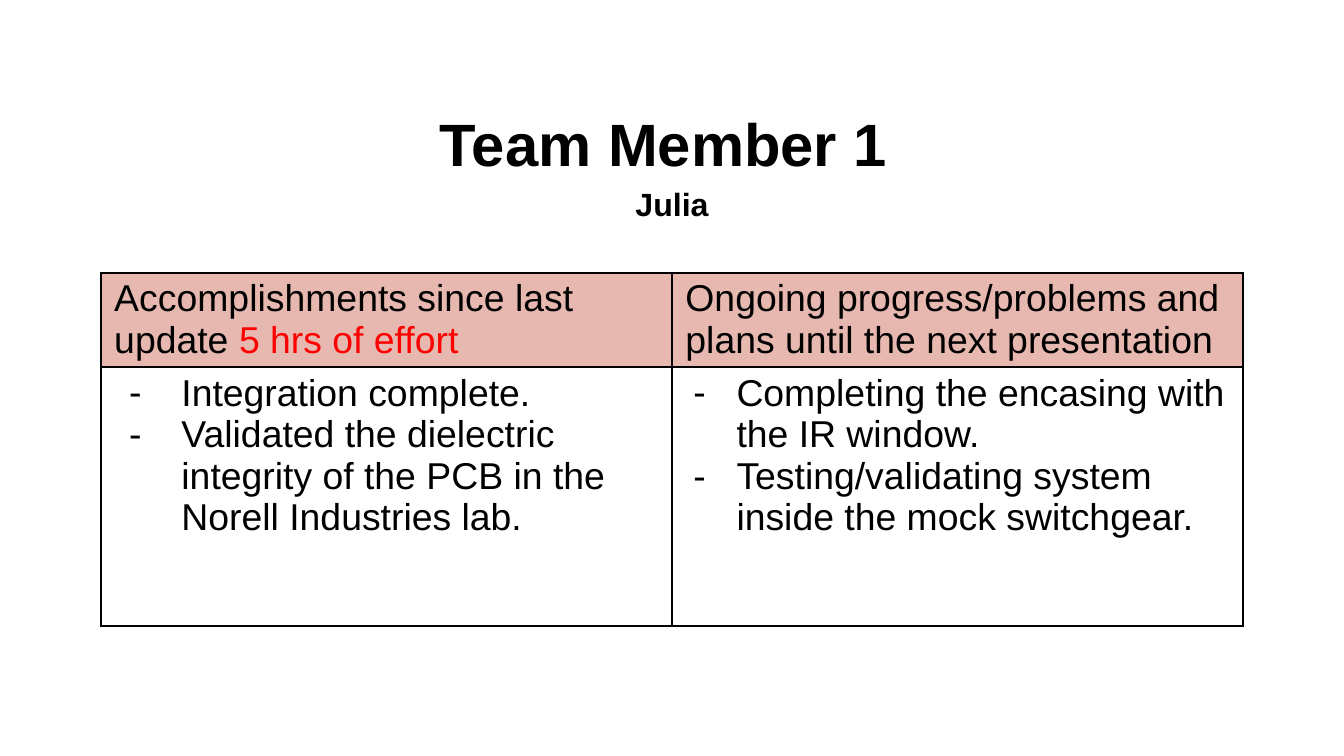
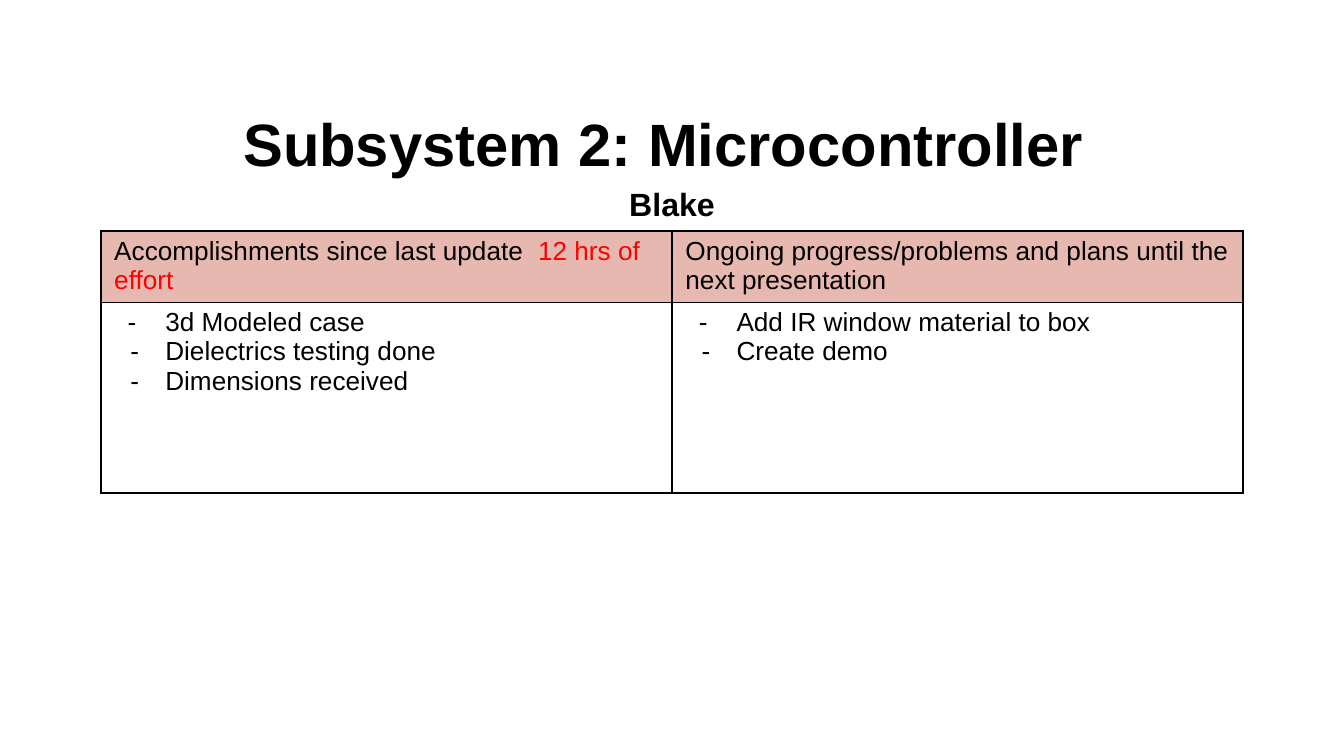
"""Build two progress slides, each with a two-line title and a status table."""
from dataclasses import dataclass

from lxml import etree
from pptx import Presentation
from pptx.dml.color import RGBColor
from pptx.enum.text import MSO_ANCHOR, MSO_AUTO_SIZE, PP_ALIGN
from pptx.oxml.ns import qn
from pptx.util import Inches, Pt

CENTER = PP_ALIGN.CENTER
MIDDLE = MSO_ANCHOR.MIDDLE
NO_FIT = MSO_AUTO_SIZE.NONE
TITLE_ONLY = 5


@dataclass(frozen=True)
class Theme:
    """Colours, font and type sizes."""
    font: str = "Arial"
    ink: str = "000000"
    effort: str = "FF0000"
    header: str = "E6B8AF"
    title: float = 32
    name: float = 17.2
    border: float = 1


def set_all(target, values):
    """Set each attribute named in values on the target."""
    for key, value in values.items():
        setattr(target, key, value)


class Deck:
    """Holds the theme and the current slide."""

    def __init__(self, theme):
        """Start a 16:9 presentation."""
        self.theme = theme
        self.prs = Presentation()
        set_all(self.prs, {"slide_width": Inches(10),
                           "slide_height": Inches(10 * 9 / 16)})
        self.slide = None

    def new_slide(self):
        """Add a slide and make it current."""
        self.slide = self.prs.slides.add_slide(self.prs.slide_layouts[TITLE_ONLY])

    def run(self, p, text, size, color=None, bold=False):
        """Add one formatted run to a paragraph."""
        r = p.add_run()
        r.text = text
        set_all(r.font, {"name": self.theme.font, "size": Pt(size), "bold": bold})
        r.font.color.rgb = RGBColor.from_string(color or self.theme.ink)

    def title(self, heading, name):
        """Fill the title placeholder with a heading and a member's name."""
        sp = self.slide.shapes.title
        set_all(sp, {"left": Inches(0.5), "top": Inches(0.86),
                     "width": Inches(9), "height": Inches(0.66)})
        tf = sp.text_frame
        set_all(tf, {"vertical_anchor": MIDDLE, "auto_size": NO_FIT, "word_wrap": True,
                     "margin_left": Inches(0.1), "margin_right": Inches(0.1),
                     "margin_top": Inches(0.05), "margin_bottom": Inches(0.05)})
        lines = ((heading, self.theme.title), (name, self.theme.name))
        for i, (text, size) in enumerate(lines):
            p = tf.add_paragraph() if i else tf.paragraphs[0]
            set_all(p, {"alignment": CENTER, "line_spacing": 1.15,
                        "space_before": Pt(0)})
            self.run(p, text, size, bold=True)

    def borders(self, cell):
        """Draw a thin line on all four sides of a cell."""
        tcPr = cell._tc.get_or_add_tcPr()
        for i, side in enumerate(("lnL", "lnR", "lnT", "lnB")):
            ln = etree.Element(qn(f"a:{side}"), w=str(Pt(self.theme.border)))
            fill = etree.SubElement(ln, qn("a:solidFill"))
            etree.SubElement(fill, qn("a:srgbClr"), val=self.theme.ink)
            tcPr.insert(i, ln)

    def bullet(self, p, left, hang):
        """Give a paragraph a dash bullet with a hanging indent."""
        pPr = p._p.get_or_add_pPr()
        pPr.set("marL", str(Inches(left)))
        pPr.set("indent", str(-Inches(hang)))
        color = etree.SubElement(pPr, qn("a:buClr"))
        etree.SubElement(color, qn("a:srgbClr"), val=self.theme.ink)
        etree.SubElement(pPr, qn("a:buFont"), typeface=self.theme.font)
        etree.SubElement(pPr, qn("a:buChar"), char="-")

    def table(self, top, heights, size, headers, lists):
        """Add a status table: a row of headers over a row of dash lists."""
        frame = self.slide.shapes.add_table(
            2, 2, Inches(0.75), Inches(top), Inches(8.5), Inches(sum(heights)))
        tbl = frame.table
        set_all(tbl, {"first_row": False, "horz_banding": False})
        for row, height in zip(tbl.rows, heights):
            row.height = Inches(height)
        for cell in tbl.iter_cells():
            set_all(cell, {"margin_left": Inches(0.1), "margin_right": Inches(0.1),
                           "margin_top": Inches(0.04), "margin_bottom": Inches(0.04)})
            cell.fill.background()
            self.borders(cell)
        for col, runs in enumerate(headers):
            cell = tbl.cell(0, col)
            cell.fill.solid()
            cell.fill.fore_color.rgb = RGBColor.from_string(self.theme.header)
            for text, color in runs:
                self.run(cell.text_frame.paragraphs[0], text, size, color)
        for col, items in enumerate(lists):
            tf = tbl.cell(1, col).text_frame
            for i, (text, left, hang) in enumerate(items):
                p = tf.add_paragraph() if i else tf.paragraphs[0]
                self.bullet(p, left, hang)
                self.run(p, text, size)

    def status(self, heading, name, done, effort, lists, **layout):
        """Add a complete progress slide."""
        self.new_slide()
        self.title(heading, name)
        plans = "Ongoing progress/problems and plans until the next presentation"
        headers = [[(done, self.theme.ink), (effort, self.theme.effort)],
                   [(plans, self.theme.ink)]]
        self.table(headers=headers, lists=lists, **layout)


def main():
    """Build and save the slides."""
    deck = Deck(Theme())
    deck.status(
        "Team Member 1 ", "Julia",
        "Accomplishments since last update ", "5 hrs of effort",
        [[("Integration complete.", 0.5, 0.39),
          ("Validated the dielectric integrity of the PCB in the "
           "Norell Industries lab.", 0.5, 0.39)],
         [("Completing the encasing with the IR window.", 0.38, 0.32),
          ("Testing/validating system inside the mock switchgear.", 0.38, 0.32)]],
        top=2.03, heights=(0.7, 1.93), size=20)
    deck.status(
        "Subsystem 2: Microcontroller ", "Blake",
        "Accomplishments since last update  ", "12 hrs of effort",
        [[("3d Modeled case", 0.38, 0.28),
          ("Dielectrics testing done", 0.38, 0.26),
          ("Dimensions received", 0.38, 0.26)],
         [("Add IR window material to box", 0.38, 0.28),
          ("Create demo", 0.38, 0.26)]],
        top=1.72, heights=(0.53, 1.42), size=14)
    deck.prs.save("out.pptx")


if __name__ == "__main__":
    main()
